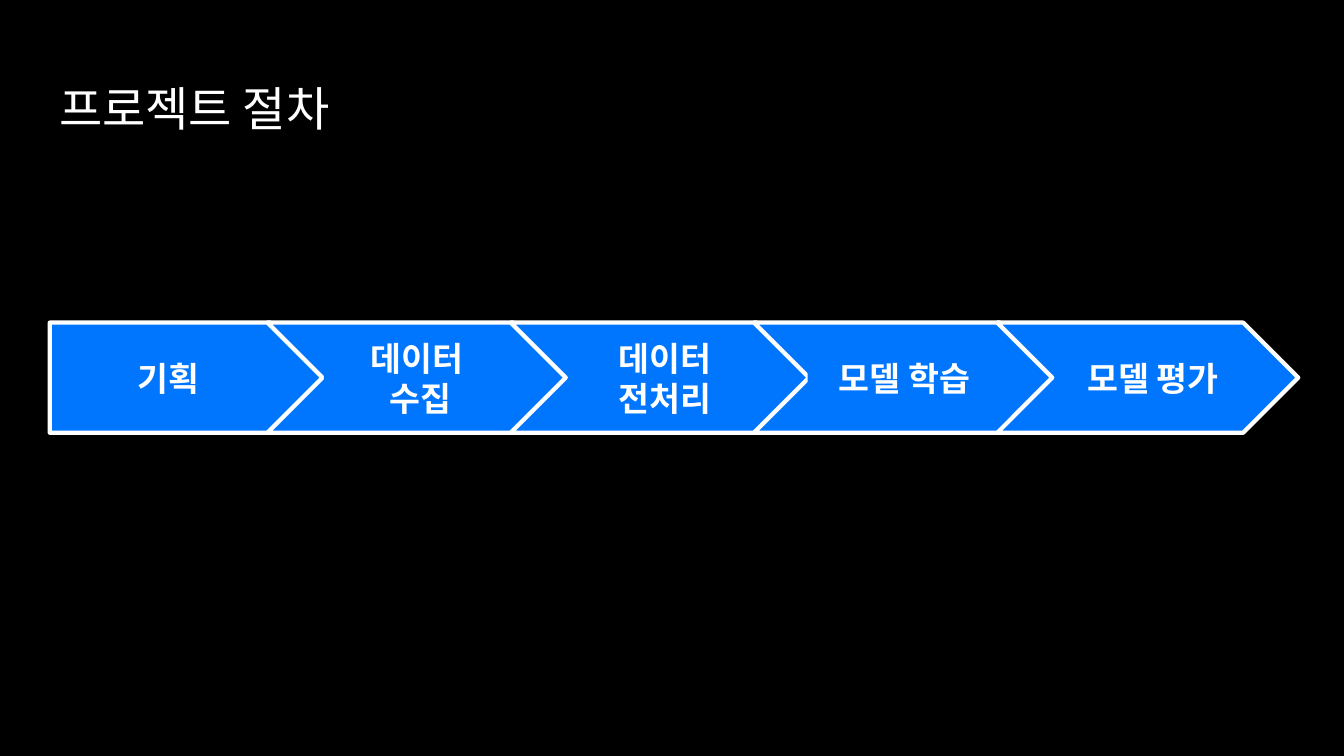
from lxml.etree import SubElement
from pptx import Presentation
from pptx.dml.color import RGBColor
from pptx.enum.shapes import MSO_SHAPE
from pptx.enum.text import MSO_ANCHOR, MSO_AUTO_SIZE, PP_ALIGN
from pptx.oxml.ns import qn
from pptx.util import Inches, Pt

FONT = "Noto Sans CJK KR"
BLUE, WHITE, BLACK = "0076FE", "FFFFFF", "000000"


def paint(fill, color):
    fill.solid()
    fill.fore_color.rgb = RGBColor.from_string(color)


def write(shape, text, size, bold=False, align=PP_ALIGN.LEFT, anchor=MSO_ANCHOR.TOP):
    frame = shape.text_frame
    frame.word_wrap = True
    frame.auto_size = MSO_AUTO_SIZE.NONE
    frame.vertical_anchor = anchor
    frame.margin_left = frame.margin_right = Inches(0.1)
    frame.margin_top = frame.margin_bottom = Inches(0.1)
    paragraph = frame.paragraphs[0]
    paragraph.text = text
    paragraph.alignment = align
    for run in paragraph.runs:
        run.font.size = Pt(size)
        run.font.bold = bold
        run.font.name = FONT
        paint(run.font.fill, WHITE)
        SubElement(run.font._element, qn("a:ea"), typeface=FONT)


prs = Presentation()
prs.slide_width = Inches(10)
prs.slide_height = prs.slide_width * 9 // 16
slide = prs.slides.add_slide(prs.slide_layouts[5])
paint(slide.background.fill, BLACK)

heading = slide.shapes.title
heading.left, heading.top = Inches(0.34), Inches(0.49)
heading.width, heading.height = Inches(9.32), Inches(0.63)
write(heading, "프로젝트 절차", 25.2)

PITCH = 1.81
FIRST_CHEVRON = 1.99
BAND_TOP, BAND_HEIGHT = 2.4, 0.82
LABEL_TOP, LABEL_HEIGHT = 2.56, 0.51

steps = [
    ("기획", 0.46, 1.59),
    ("데이터 \v수집", 2.41, 1.44),
    ("데이터 전처리", 4.23, 1.44),
    ("모델 학습", 6.01, 1.44),
    ("모델 평가", 7.86, 1.44),
]

for column, (step, label_left, label_width) in enumerate(steps):
    if column == 0:
        outline, left, width = MSO_SHAPE.PENTAGON, 0.37, 2.05
    else:
        outline, width = MSO_SHAPE.CHEVRON, 2.24
        left = FIRST_CHEVRON + (column - 1) * PITCH
    arrow = slide.shapes.add_shape(outline, Inches(left), Inches(BAND_TOP),
                                   Inches(width), Inches(BAND_HEIGHT))
    arrow.adjustments[0] = 0.5
    arrow.shadow.inherit = False
    paint(arrow.fill, BLUE)
    paint(arrow.line.fill, WHITE)
    arrow.line.width = Pt(2.25)

    label = slide.shapes.add_shape(MSO_SHAPE.RECTANGLE, Inches(label_left), Inches(LABEL_TOP),
                                   Inches(label_width), Inches(LABEL_HEIGHT))
    label.shadow.inherit = False
    paint(label.fill, BLUE)
    label.line.fill.background()
    write(label, step, 18, bold=True, align=PP_ALIGN.CENTER, anchor=MSO_ANCHOR.MIDDLE)

prs.save("out.pptx")
